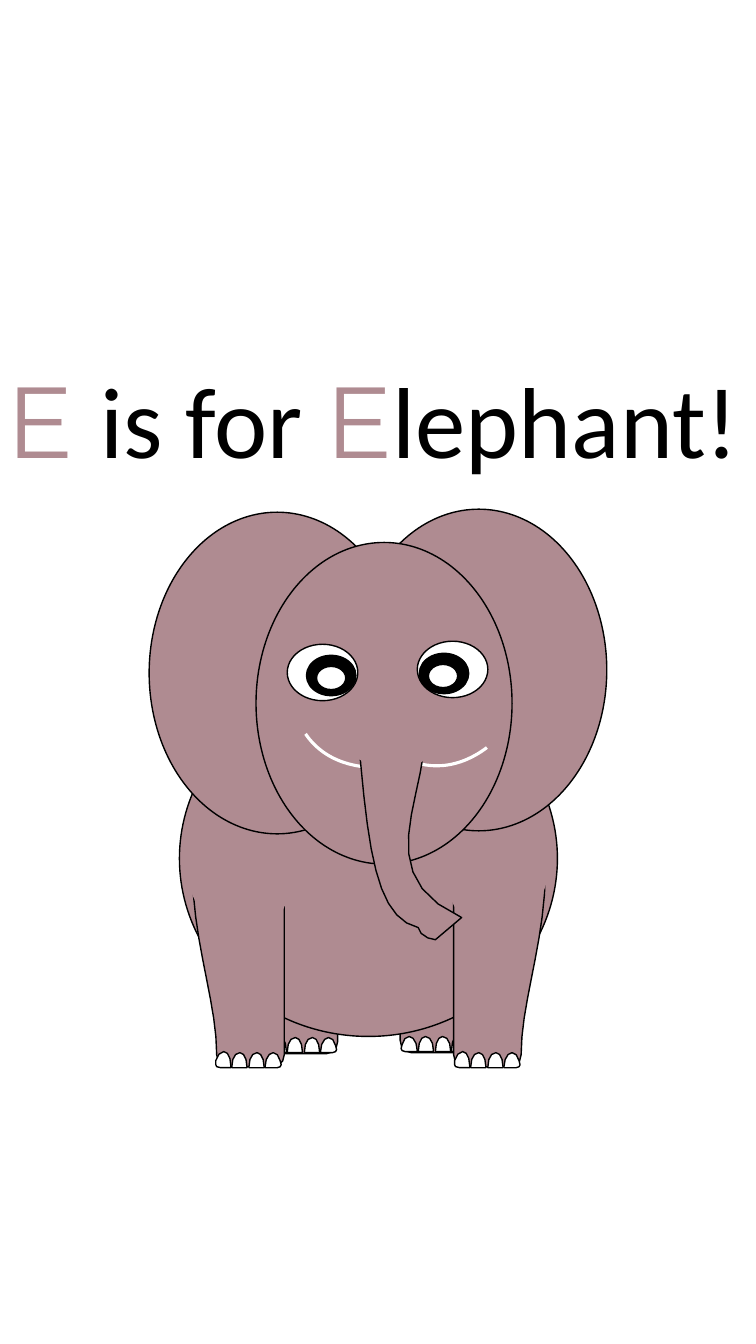
"""Builds an alphabet slide: E is for Elephant."""
from math import dist
from lxml import etree
from pptx import Presentation
from pptx.dml.color import RGBColor
from pptx.enum.shapes import MSO_SHAPE
from pptx.enum.text import MSO_AUTO_SIZE, PP_ALIGN
from pptx.oxml.ns import qn
from pptx.util import Cm, Pt

OVAL, ARC = MSO_SHAPE.OVAL, MSO_SHAPE.ARC
CENTER, GROW = PP_ALIGN.CENTER, MSO_AUTO_SIZE.SHAPE_TO_FIT_TEXT
SKIN, BLACK, WHITE = "AF8B91", "000000", "FFFFFF"
CM_PER_INCH = 2.54
MIRROR_SUM = 7.32
STEPS_PER_INCH = 4

TITLE_BOX = (-1, 3.5, 9.62, 1.31)
TITLE = [
    ("E ", "Montserrat", SKIN, True),
    ("is for ", "Calibri", BLACK, False),
    ("E", "Montserrat", SKIN, True),
    ("lephant! ", "Calibri", BLACK, False),
]

LEG = [
    (0.91, 0.45), (0.91, 0.39, 0.86, 0.34, 0.8, 0.34), (0.35, 0.34),
    (0.29, 0.34, 0.09, -0.06, 0.09, 0), (-0.18, 1.06, 0.24, 1.87, 0.24, 2.57),
    (0.24, 2.64, 0.29, 2.69, 0.35, 2.69), (0.8, 2.69),
    (0.86, 2.69, 0.91, 2.64, 0.91, 2.57),
]
OUTER_NAIL = [
    (0.08, 0), (0.04, 0, 0.02, 0.04, 0, 0.09), (0, 0.13), (0.01, 0.15),
    (0.05, 0.16), (0.15, 0.16), (0.15, 0.14), (0.15, 0.06, 0.12, 0, 0.08, 0),
]
MIDDLE_NAIL = [
    (0.08, 0), (0.03, 0, 0, 0.06, 0, 0.14), (0, 0.15), (0.15, 0.15),
    (0.15, 0.14), (0.15, 0.06, 0.12, 0, 0.08, 0),
]
INNER_NAIL = [
    (0.08, 0), (0.04, 0, 0, 0.06, 0, 0.14), (0, 0.15), (0.12, 0.15),
    (0.15, 0.14), (0.16, 0.12), (0.15, 0.08), (0.14, 0.03, 0.11, 0, 0.08, 0),
]
TOES = [
    (OUTER_NAIL, 0, 0), (INNER_NAIL, 0.49, 0.01),
    (MIDDLE_NAIL, 0.33, 0.01), (MIDDLE_NAIL, 0.16, 0.01),
]
TRUNK = [
    (0.67, 0.11), (0.67, 0.05, 0.62, 0, 0.56, 0), (0.12, 0),
    (0.05, 0, 0, 0.05, 0, 0.11), (0.1, 1.31, 0.18, 1.97, 0.6, 2.07),
    (0.6, 2.13, 0.7, 2.19, 0.77, 2.19), (1.03, 1.97),
    (0.11, 1.55, 0.67, 0.82, 0.67, 0.11),
]
TRUNK_AT = (3.55, 7.13)
TRUNK_TOP = (3.43, 6.97, 0.93, 0.65)

BACK_LEGS = [((2.44, 7.76), (2.69, 10.28), False), ((2.44, 7.75), (2.69, 10.27), True)]
BODY = (1.78, 6.75, 3.75, 3.53)
FRONT_LEG_AT = (1.91, 7.89)
FRONT_LEGS = [
    (False, (1.83, 7.78, 1.06, 1.52), 351.3),
    (True, (4.4, 7.74, 1.06, 1.52), 3.6),
]
FRONT_TOES = [(4.51, 10.43), (2.14, 10.43)]
EARS_AND_HEAD = [(3.48, 5.05), (1.48, 5.08), (2.54, 5.38)]
HEAD_SIZE = (2.54, 3.19)
EYE_PARTS = [((0.7, 0.56), WHITE), ((0.49, 0.4), BLACK), ((0.29, 0.23), WHITE)]
EYES = [
    [(2.85, 6.39), (3.04, 6.5), (3.14, 6.61)],
    [(4.14, 6.36), (4.16, 6.48), (4.25, 6.59)],
]
SMILE_ANGLES = (140.28, 162)
SMILES = [((3.11, 5.5, 1.75, 2.29), 236.4), ((3.57, 5.32, 1.75, 2.29), 194.1)]


def length(inches):
    return Cm(inches * CM_PER_INCH)


def paint(part, fill, line, width=1):
    part.shadow.inherit = False
    for color, format_of in ((fill, part.fill), (line, part.line.fill)):
        if color:
            format_of.solid()
            format_of.fore_color.rgb = RGBColor.from_string(color)
        else:
            format_of.background()
    if line:
        part.line.width = Pt(width)


def add_preset(kind, box, fill=SKIN, line=BLACK, width=1, turn=0):
    part = shapes.add_shape(kind, *map(length, box))
    paint(part, fill, line, width)
    part.rotation = turn
    return part


def trace(outline):
    points = [outline[0]]
    for step in outline[1:]:
        if len(step) == 2:
            points.append(step)
            continue
        controls = [points[-1], step[:2], step[2:4], step[4:]]
        count = 2 + round(STEPS_PER_INCH * dist(controls[0], controls[3]))
        for i in range(1, count + 1):
            t = i / count
            weights = ((1 - t) ** 3, 3 * t * (1 - t) ** 2, 3 * t * t * (1 - t), t ** 3)
            points.append(tuple(sum(w * c[axis] for w, c in zip(weights, controls))
                                for axis in (0, 1)))
    return points


def add_outline(outline, at, fill=SKIN, mirrored=False):
    points = []
    for x, y in trace(outline):
        x += at[0]
        points.append((length(MIRROR_SUM - x if mirrored else x), length(y + at[1])))
    builder = shapes.build_freeform(*points[0], scale=1.0)
    builder.add_line_segments(points[1:], close=True)
    paint(builder.convert_to_shape(), fill, BLACK)


def add_toes(at, mirrored=False):
    for nail, dx, dy in TOES:
        add_outline(nail, (at[0] + dx, at[1] + dy), WHITE, mirrored)


def add_run(paragraph, text, font, color, outlined, size=72):
    run = paragraph.add_run()
    run.text = text
    run.font.size = Pt(size)
    run.font.name = font
    run.font.color.rgb = RGBColor.from_string(color)
    if outlined:
        edge = etree.Element(qn("a:ln"), w=str(Pt(0.75)))
        solid = etree.SubElement(edge, qn("a:solidFill"))
        etree.SubElement(solid, qn("a:srgbClr"), val=BLACK)
        run.font._element.insert(0, edge)


deck = Presentation()
deck.slide_width, deck.slide_height = length(7.5), length(13.33)
shapes = deck.slides.add_slide(deck.slide_layouts[6]).shapes

for leg_at, toes_at, mirrored in BACK_LEGS:
    add_outline(LEG, leg_at, mirrored=mirrored)
    add_toes(toes_at, mirrored)
add_preset(OVAL, BODY)
for mirrored, shoulder, turn in FRONT_LEGS:
    add_outline(LEG, FRONT_LEG_AT, mirrored=mirrored)
    add_preset(OVAL, shoulder, line=None, turn=turn)
for toes_at in FRONT_TOES:
    add_toes(toes_at)

for at in EARS_AND_HEAD:
    add_preset(OVAL, at + HEAD_SIZE)
for eye in EYES:
    for at, (size, color) in zip(eye, EYE_PARTS):
        add_preset(OVAL, at + size, color)
for box, turn in SMILES:
    smile = add_preset(ARC, box, None, WHITE, 2.25, turn)
    smile.adjustments[0], smile.adjustments[1] = SMILE_ANGLES
add_outline(TRUNK, TRUNK_AT)
add_preset(OVAL, TRUNK_TOP, line=SKIN)

title = shapes.add_textbox(*map(length, TITLE_BOX)).text_frame
title.word_wrap = True
title.auto_size = GROW
title.paragraphs[0].alignment = CENTER
for piece in TITLE:
    add_run(title.paragraphs[0], *piece)

deck.save("out.pptx")
